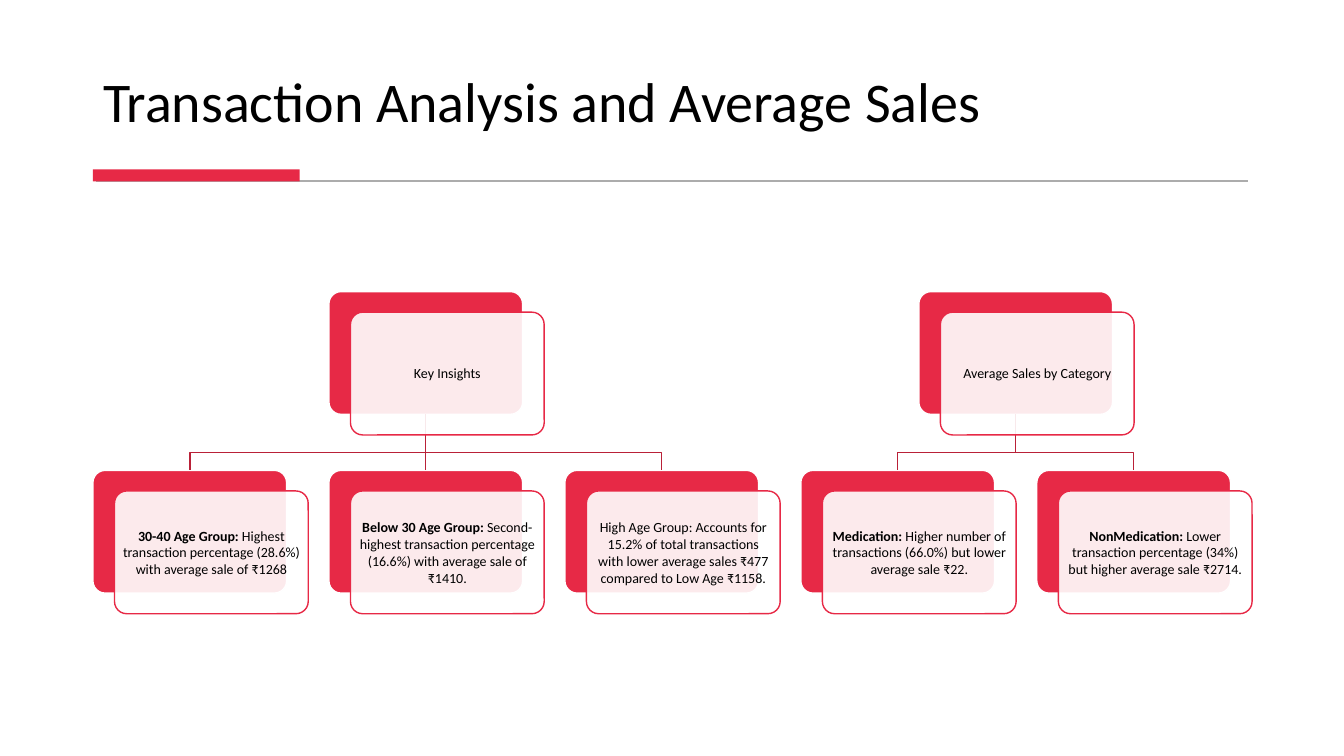
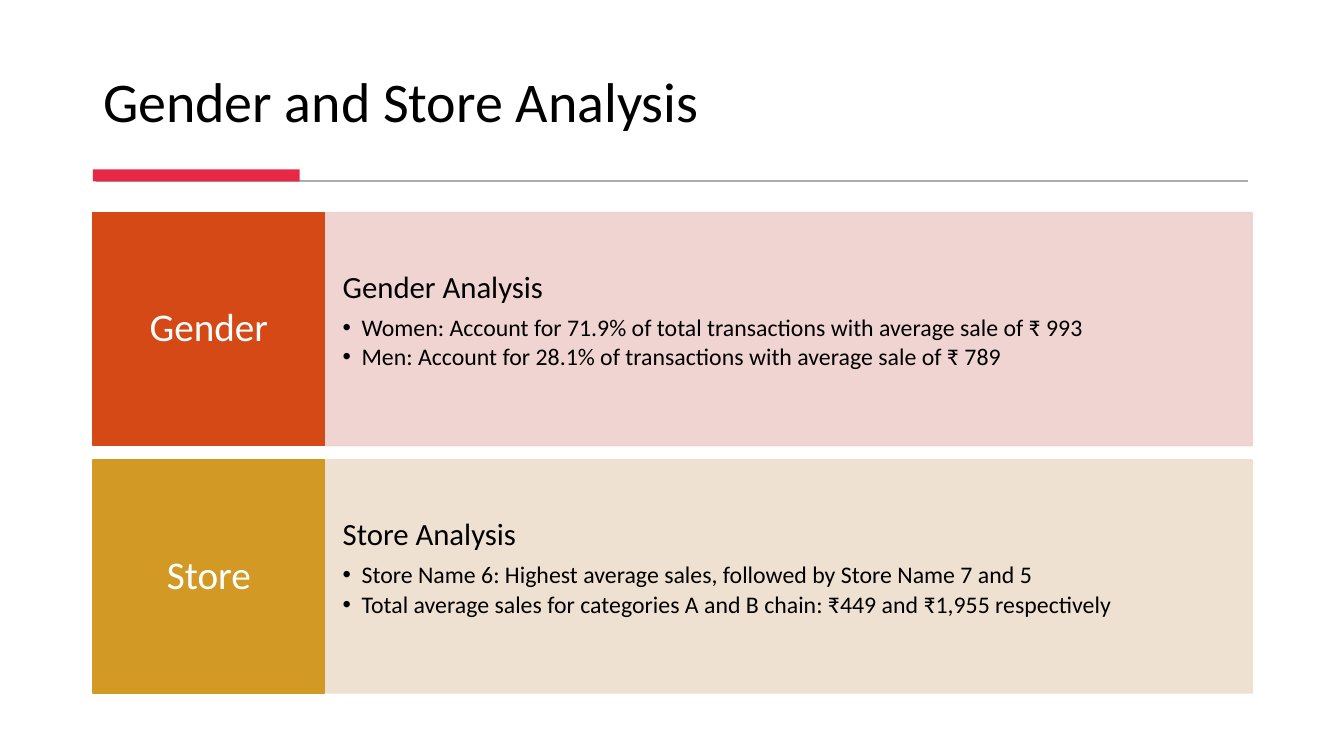
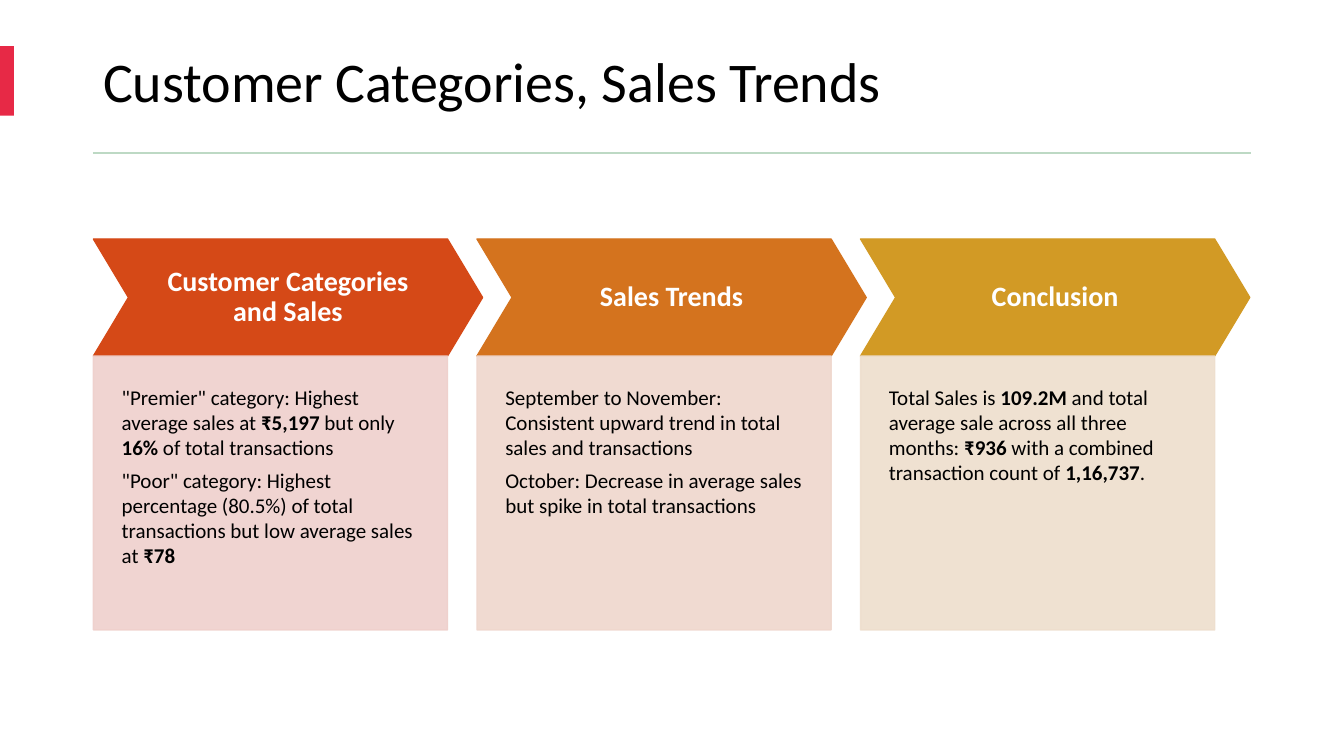
from lxml.etree import SubElement
from pptx import Presentation
from pptx.dml.color import RGBColor
from pptx.enum.shapes import MSO_CONNECTOR as Connector, MSO_SHAPE as Shape
from pptx.enum.text import MSO_ANCHOR as Anchor, MSO_AUTO_SIZE as AutoSize, PP_ALIGN as Align
from pptx.oxml.ns import qn
from pptx.util import Pt

COLORS = {
    "black": "000000", "white": "FFFFFF", "accent": "E72946", "branch": "B92138",
    "gray": "ACACAC", "mint": "BDD9C4",
    "rust": "D54917", "orange": "D4731E", "gold": "D29A25",
    "pale rust": "EFD0CC", "pale orange": "EFD7CD", "pale gold": "EEDECD",
}
FONT = "Calibri"
LEFT = 66.4


def paint(shape, fill, line=None, opacity=100):
    """Set fill and outline; opacity also fades an outline of the fill's colour."""
    shape.shadow.inherit = False
    shape.fill.solid()
    shape.fill.fore_color.rgb = RGBColor.from_string(COLORS[fill])
    if line:
        shape.line.color.rgb = RGBColor.from_string(COLORS[line])
        shape.line.width = Pt(1)
    else:
        shape.line.fill.background()
    if opacity < 100:
        for color in shape.element.spPr.iter(qn("a:srgbClr")):
            if color.get("val") == COLORS[fill]:
                SubElement(color, qn("a:alpha"), val=str(opacity * 1000))


def write(shape, texts, size, color="black", align=Align.LEFT, anchor=Anchor.TOP,
          insets=(7.2, 3.6, 7.2, 3.6), spacing=0.9, gap=0, bold=False):
    """Fill a shape with paragraphs; text between double asterisks is bold."""
    frame = shape.text_frame
    frame.text = "\n".join(texts)
    frame.word_wrap = True
    frame.auto_size = AutoSize.NONE
    frame.vertical_anchor = anchor
    frame.margin_left, frame.margin_top, frame.margin_right, frame.margin_bottom = map(Pt, insets)
    for para in frame.paragraphs:
        parts = para.text.split("**")
        para.clear()
        para.alignment = align
        para.line_spacing = spacing
        para.space_before = Pt(0)
        para.space_after = Pt(gap)
        for number, part in enumerate(parts):
            if part:
                span = para.add_run()
                span.text = part
                span.font.name = FONT
                span.font.size = Pt(size)
                span.font.bold = bold or number % 2 == 1
                span.font.color.rgb = RGBColor.from_string(COLORS[color])


deck = Presentation()
deck.slide_width, deck.slide_height = Pt(960), Pt(540)

# Titles, rules and accent blocks
TITLE_ONLY, TWO_CONTENT = 5, 3
wide_rule = (68.4, 891.4, 129.2, "gray", 1.25)
wide_accent = (LEFT, 121, 147.6, 8.6)
headers = [
    ("Transaction Analysis and Average Sales", TITLE_ONLY, Anchor.BOTTOM, wide_rule, wide_accent),
    ("Gender and Store Analysis", TWO_CONTENT, Anchor.BOTTOM, wide_rule, wide_accent),
    ("Customer Categories, Sales Trends", TITLE_ONLY, Anchor.MIDDLE,
     (LEFT, 893.5, 109.4, "mint", 1.5), (0, 33, 10, 49.7)),
]
pages = []
for title, layout, anchor, (start, end, height, color, weight), accent in headers:
    page = deck.slides.add_slide(deck.slide_layouts[layout])
    pages.append(page)
    heading = page.shapes.title
    heading.left, heading.top, heading.width, heading.height = Pt(LEFT), Pt(20), Pt(827), Pt(80)
    write(heading, [title], 40, anchor=anchor)
    rule = page.shapes.add_connector(Connector.STRAIGHT, Pt(start), Pt(height), Pt(end), Pt(height))
    rule.line.color.rgb = RGBColor.from_string(COLORS[color])
    rule.line.width = Pt(weight)
    SubElement(rule.element.spPr, qn("a:effectLst"))
    paint(page.shapes.add_shape(Shape.RECTANGLE, *map(Pt, accent)), "accent")
tree_page, band_page, step_page = pages

# Tree of cards: each group has a parent card above its children
CARD_WIDTH, CARD_HEIGHT, CARD_PITCH = 138.4, 87.7, 168.55
PARENT_TOP, CHILD_TOP, BRANCH_TOP = 208.3, 336, 323.3
SHIFT_X, SHIFT_Y = 15.4, 14.7
groups = [
    (1, "Key Insights", [
        (0, "**30-40 Age Group:** Highest transaction percentage (28.6%) with average sale of ₹1268"),
        (1, "**Below 30 Age Group:** Second-highest transaction percentage (16.6%) "
            "with average sale of ₹1410."),
        (2, "High Age Group: Accounts for 15.2% of total transactions with lower average sales ₹477 "
            "compared to Low Age ₹1158."),
    ]),
    (3.5, "Average Sales by Category", [
        (3, "**Medication:** Higher number of transactions (66.0%) but lower average sale ₹22."),
        (4, "**NonMedication:** Lower transaction percentage (34%) but higher average sale ₹2714."),
    ]),
]
for parent_column, parent_text, children in groups:
    cards = [(parent_column, PARENT_TOP, parent_text, 0.9)]
    cards += [(column, CHILD_TOP, text, 1) for column, text in children]

    backs = []
    for column, top, text, spacing in cards:
        back = tree_page.shapes.add_shape(Shape.ROUNDED_RECTANGLE, Pt(LEFT + column * CARD_PITCH),
                                          Pt(top), Pt(CARD_WIDTH), Pt(CARD_HEIGHT))
        back.adjustments[0] = 0.1
        paint(back, "accent", "white")
        backs.append(back)

    parent = backs[0]
    parent_x, parent_y = parent.left + parent.width // 2, parent.top + parent.height
    for child in backs[1:]:
        child_x = child.left + child.width // 2
        if child_x == parent_x:
            branch = tree_page.shapes.add_connector(Connector.STRAIGHT, parent_x, parent_y,
                                                    child_x, child.top)
            branch.begin_connect(parent, 2)
            branch.end_connect(child, 0)
        else:
            outline = tree_page.shapes.build_freeform(parent_x, parent_y)
            outline.add_line_segments([(parent_x, Pt(BRANCH_TOP)), (child_x, Pt(BRANCH_TOP)),
                                       (child_x, child.top)], close=False)
            branch = outline.convert_to_shape()
            branch.fill.background()
        branch.line.color.rgb = RGBColor.from_string(COLORS["branch"])
        branch.line.width = Pt(1)
        SubElement(branch.element.spPr, qn("a:effectLst"))

    for back, (column, top, text, spacing) in zip(backs, cards):
        front = tree_page.shapes.add_shape(Shape.ROUNDED_RECTANGLE, back.left + Pt(SHIFT_X),
                                           back.top + Pt(SHIFT_Y), back.width, back.height)
        front.adjustments[0] = 0.1
        paint(front, "white", "accent", opacity=90)
        write(front, [text], 10, align=Align.CENTER, anchor=Anchor.MIDDLE,
              insets=(3, 3, 3, 3), spacing=spacing, gap=3.5)

# Bands: a label on the left and a list on the right
BAND_TOP, BAND_HEIGHT, BAND_PITCH, LABEL_WIDTH = 151.9, 166.5, 176.6, 165.6
bands = [
    ("Gender", "rust", [
        "Gender Analysis",
        "Women: Account for 71.9% of total transactions with average sale of ₹ 993",
        "Men: Account for 28.1% of transactions with average sale of ₹ 789"]),
    ("Store", "gold", [
        "Store Analysis",
        "Store Name 6: Highest average sales, followed by Store Name 7 and 5",
        "Total average sales for categories A and B chain: ₹449 and ₹1,955 respectively"]),
]
for row, (name, color, texts) in enumerate(bands):
    top = BAND_TOP + row * BAND_PITCH
    body = band_page.placeholders[row + 1]
    body.left, body.top = Pt(LEFT + LABEL_WIDTH), Pt(top)
    body.width, body.height = Pt(662.4), Pt(BAND_HEIGHT)
    paint(body, "pale " + color, "pale " + color, opacity=90)
    write(body, texts, 17, insets=(12.8, 42.3, 12.8, 42.3), gap=2.55)

    headline, *items = body.text_frame.paragraphs
    headline.space_after = Pt(7.7)
    headline.runs[0].font.size = Pt(22)
    properties = headline._p.get_or_add_pPr()
    properties.set("marL", "0")
    properties.set("indent", "0")
    SubElement(properties, qn("a:buNone"))
    for item in items:
        item.level = 1
        properties = item._p.get_or_add_pPr()
        properties.set("marL", str(Pt(13.5)))
        properties.set("indent", str(-Pt(13.5)))
        SubElement(properties, qn("a:buChar"), char="•")

    label = band_page.shapes.add_shape(Shape.RECTANGLE, Pt(LEFT), Pt(top),
                                       Pt(LABEL_WIDTH), Pt(BAND_HEIGHT))
    paint(label, color, color)
    write(label, [name], 28, "white", Align.CENTER, Anchor.MIDDLE, insets=(8.6, 16.6, 8.6, 16.6))

# Steps: a chevron above each text panel
STEP_LEFT, STEP_TOP, STEP_PITCH, CHEVRON_HEIGHT = 66.7, 170.7, 274, 83.6
steps = [
    ("Customer Categories and Sales", "rust", [
        '"Premier" category: Highest average sales at **₹5,197** but only **16%** of total transactions',
        '"Poor" category: Highest percentage (80.5%) of total transactions '
        'but low average sales at **₹78**']),
    ("Sales Trends", "orange", [
        "September to November: Consistent upward trend in total sales and transactions",
        "October: Decrease in average sales but spike in total transactions"]),
    ("Conclusion", "gold", [
        "Total Sales is **109.2M** and total average sale across all three months: **₹936** "
        "with a combined transaction count of **1,16,737**."]),
]
for column, (name, color, texts) in enumerate(steps):
    left = Pt(STEP_LEFT + column * STEP_PITCH)
    chevron = step_page.shapes.add_shape(Shape.CHEVRON, left, Pt(STEP_TOP),
                                         Pt(278), Pt(CHEVRON_HEIGHT))
    chevron.adjustments[0] = 0.3
    paint(chevron, color, color)
    write(chevron, [name], 20, "white", Align.CENTER, Anchor.MIDDLE,
          insets=(10, 10, 10, 10), bold=True)
    panel = step_page.shapes.add_shape(Shape.RECTANGLE, left, Pt(STEP_TOP + CHEVRON_HEIGHT),
                                       Pt(253), Pt(195.7))
    paint(panel, "pale " + color, "pale " + color, opacity=90)
    write(panel, texts, 15, insets=(20.2, 20.2, 20.2, 40.4), spacing=1, gap=5.25)

deck.save("out.pptx")
